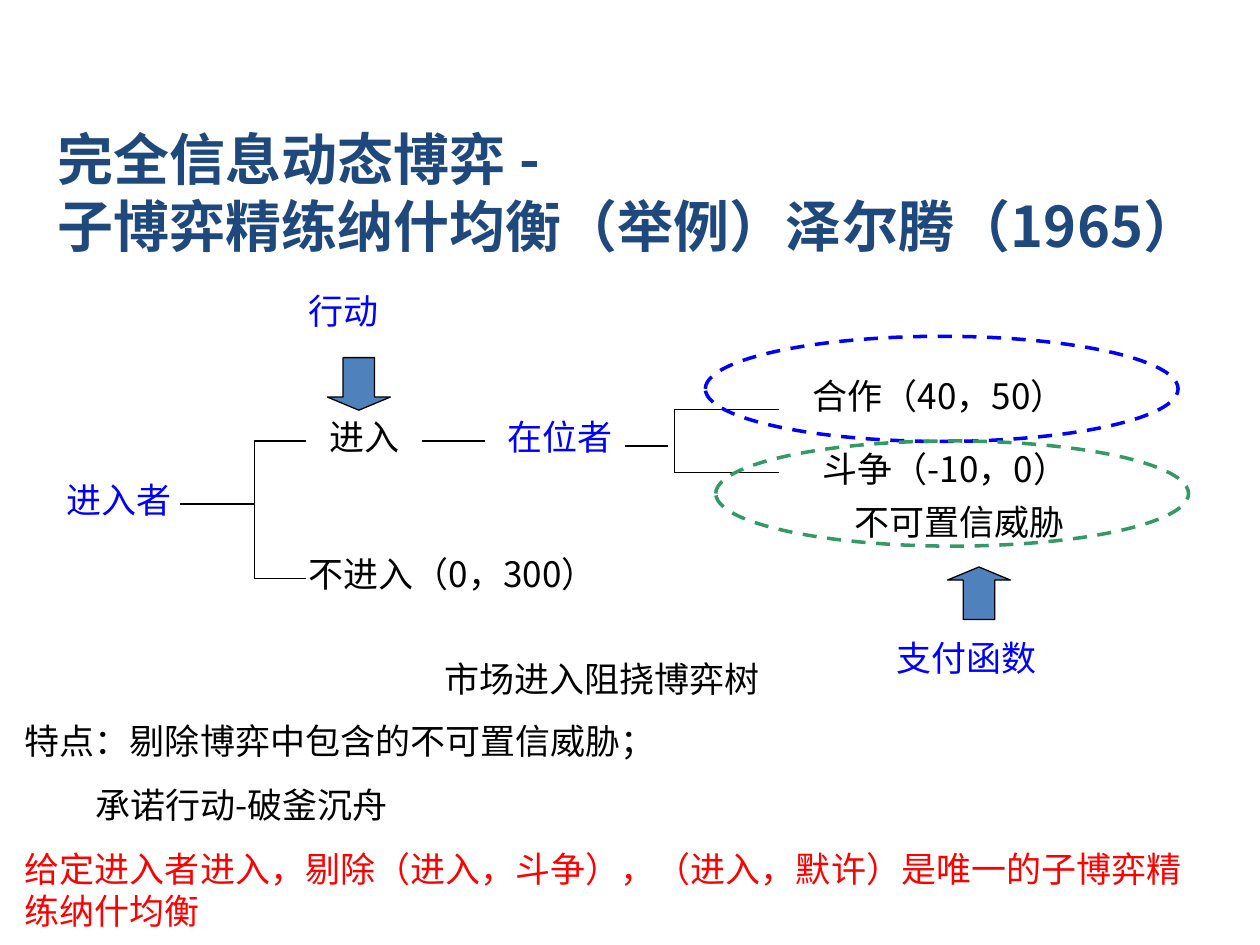
from lxml.etree import SubElement
from pptx import Presentation
from pptx.dml.color import RGBColor
from pptx.enum.dml import MSO_LINE
from pptx.enum.shapes import MSO_CONNECTOR as Link, MSO_SHAPE as Form
from pptx.enum.text import MSO_ANCHOR as Anchor, MSO_AUTO_SIZE as Fit, PP_ALIGN as Align
from pptx.oxml.ns import qn
from pptx.util import Cm, Pt

FACE = "Noto Sans CJK SC"
BLACK, BLUE, RED = "000000", "0000FF", "FF0000"
NAVY, STEEL, GREEN = "1F497D", "4F81BD", "339966"


def tint(code):
    return RGBColor.from_string(code)


def style(para, size, color, bold=False):
    para.alignment = Align.LEFT
    para.line_spacing = Pt(size * 1.2)
    font = para.font
    font.size = Pt(size)
    font.bold = bold
    font.name = FACE
    font.color.rgb = tint(color)
    SubElement(font._element, qn("a:ea"), typeface=FACE)


def head(slide, text):
    title = slide.shapes.title
    title.left, title.top = Cm(0.91), Cm(2.74)
    title.width, title.height = Cm(24), Cm(2.24)
    frame = title.text_frame
    frame.text = text
    frame.auto_size = Fit.NONE
    frame.vertical_anchor = Anchor.MIDDLE
    style(frame.paragraphs[0], 32, NAVY, True)


def label(slide, text, left, top, width, color=BLACK):
    box = slide.shapes.add_textbox(Cm(left), Cm(top), Cm(width), Cm(1.12))
    frame = box.text_frame
    frame.word_wrap = True
    frame.text = text
    style(frame.paragraphs[0], 20, color)
    return frame


def notes(slide, rows):
    text, color, _ = rows[0]
    frame = label(slide, text, 0.25, 14.38, 24, color)
    for text, color, indent in rows[1:]:
        para = frame.add_paragraph()
        para.text = text
        para.space_before = Pt(12.5)
        para._p.get_or_add_pPr().set("marL", str(Cm(indent)))
        style(para, 20, color)


def line(slide, x1, y1, x2, y2):
    link = slide.shapes.add_connector(
        Link.STRAIGHT, Cm(x1), Cm(y1), Cm(x2), Cm(y2))
    link.line.color.rgb = tint(BLACK)
    link.line.width = Pt(0.75)
    SubElement(link._element.spPr, qn("a:effectLst"))


def fork(slide, x, end, top, low):
    line(slide, x, top, x, low)
    for y in (top, low):
        line(slide, x, y, end, y)


def ring(slide, left, top, color):
    oval = slide.shapes.add_shape(
        Form.OVAL, Cm(left), Cm(top), Cm(9.53), Cm(2.12))
    oval.shadow.inherit = False
    oval.fill.background()
    oval.line.color.rgb = tint(color)
    oval.line.width = Pt(2)
    oval.line.dash_style = MSO_LINE.DASH


def arrow(slide, form, left, top):
    mark = slide.shapes.add_shape(
        form, Cm(left), Cm(top), Cm(1.27), Cm(1.06))
    mark.shadow.inherit = False
    mark.adjustments[0], mark.adjustments[1] = 0.5, 0.25
    mark.fill.solid()
    mark.fill.fore_color.rgb = tint(STEEL)
    mark.line.color.rgb = tint(BLACK)
    mark.line.width = Pt(0.75)


def main():
    deck = Presentation()
    deck.slide_width, deck.slide_height = Cm(25.4), Cm(19.05)
    slide = deck.slides.add_slide(deck.slide_layouts[5])
    head(slide, "完全信息动态博弈 - \v子博弈精练纳什均衡（举例）泽尔腾（1965）")

    for text, left, top, width, color in (
        ("进入者", 1.09, 9.53, 2.97, BLUE),
        ("进入", 6.4, 8.26, 2.74, BLACK),
        ("不进入（0，300）", 5.97, 11.02, 8.26, BLACK),
        ("在位者", 9.98, 8.26, 3.18, BLUE),
        ("合作（40，50）", 16.13, 7.42, 8.46, BLACK),
        ("斗争（-10，0）", 16.33, 8.89, 8.26, BLACK),
        ("不可置信威胁", 16.97, 9.96, 5.08, BLACK),
        ("市场进入阻挠博弈树", 8.71, 13.13, 11.23, BLACK),
        ("支付函数", 17.83, 12.7, 4.24, BLUE),
        ("行动", 5.97, 5.72, 4.24, BLUE),
    ):
        label(slide, text, left, top, width, color)

    line(slide, 3.63, 10.16, 5.13, 10.16)
    fork(slide, 5.13, 6.17, 8.89, 11.66)
    line(slide, 8.51, 8.89, 9.78, 8.89)
    line(slide, 12.6, 8.99, 13.46, 8.99)
    fork(slide, 13.59, 15.7, 8.26, 9.53)

    notes(slide, (
        ("特点：剔除博弈中包含的不可置信威胁；", BLACK, 0),
        ("承诺行动-破釜沉舟", BLACK, 1.42),
        ("给定进入者进入，剔除（进入，斗争），（进入，默许）是唯一的子博弈精练纳什均衡", RED, 0),
    ))

    ring(slide, 14.22, 6.78, BLUE)
    ring(slide, 14.43, 8.89, GREEN)
    arrow(slide, Form.UP_ARROW, 19.1, 11.43)
    arrow(slide, Form.DOWN_ARROW, 6.6, 7.21)
    deck.save("out.pptx")


if __name__ == "__main__":
    main()
